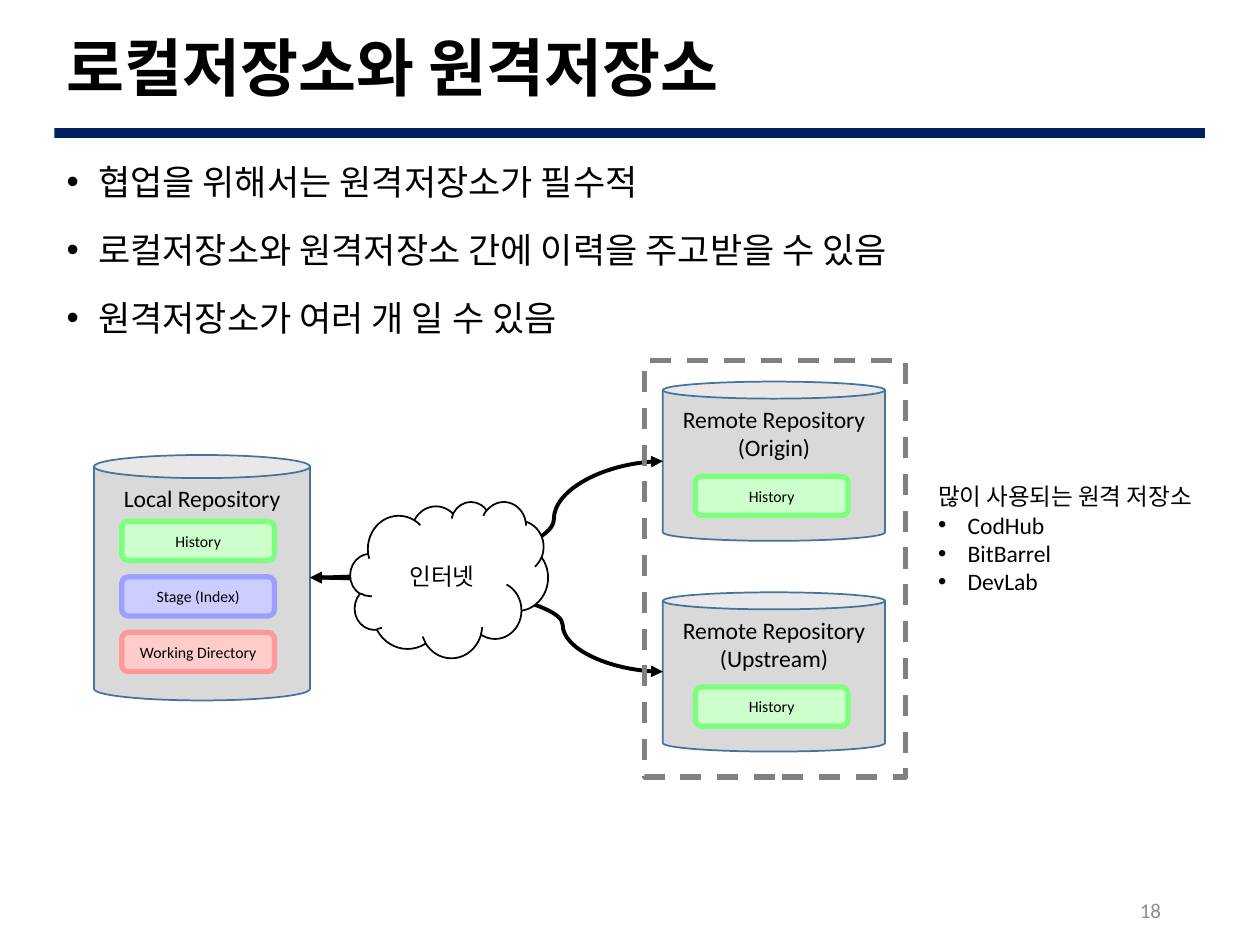
from lxml.etree import SubElement
from pptx import Presentation
from pptx.dml.color import RGBColor
from pptx.enum.dml import MSO_LINE
from pptx.enum.shapes import MSO_CONNECTOR, MSO_SHAPE
from pptx.enum.text import MSO_ANCHOR, MSO_AUTO_SIZE, PP_ALIGN
from pptx.oxml.ns import qn
from pptx.util import Pt

COLORS = {
    "navy": "002060", "black": "000000", "white": "FFFFFF", "number": "8C8C8C",
    "can": "D9D9D9", "can_line": "43739E", "frame": "808080",
    "green": "CCFFCC", "green_line": "7CFF7C",
    "blue": "CCCCFF", "blue_line": "9E9EFF",
    "red": "FFCCCC", "red_line": "FF9999",
}

prs = Presentation()
prs.slide_width, prs.slide_height = Pt(720), Pt(540)
slide = prs.slides.add_slide(prs.slide_layouts[5])
shapes = slide.shapes


def write(shape, lines, size, color="black", anchor=MSO_ANCHOR.MIDDLE, bold=False,
          bullets_from=None, indent=0, **paragraph_format):
    """Fill a shape with paragraphs, bulleted from the given index on."""
    frame = shape.text_frame
    frame.word_wrap = True
    frame.vertical_anchor = anchor
    frame.text = "\n".join(lines)
    for index, paragraph in enumerate(frame.paragraphs):
        for name, value in paragraph_format.items():
            setattr(paragraph, name, value)
        font = paragraph.runs[0].font
        for name, value in {"name": "Calibri", "size": Pt(size), "bold": bold}.items():
            setattr(font, name, value)
        font.color.rgb = RGBColor.from_string(COLORS[color])
        if bullets_from is not None and index >= bullets_from:
            props = paragraph._p.get_or_add_pPr()
            props.set("marL", str(Pt(indent)))
            props.set("indent", str(-Pt(indent)))
            SubElement(props, qn("a:buFont")).set("typeface", "Arial")
            SubElement(props, qn("a:buChar")).set("char", "•")


def draw(kind, box, fill=None, line=None, width=1):
    """Add a preset shape with plain fill and outline."""
    shape = shapes.add_shape(kind, *map(Pt, box))
    shape.shadow.inherit = False
    if fill:
        shape.fill.solid()
        shape.fill.fore_color.rgb = RGBColor.from_string(COLORS[fill])
    else:
        shape.fill.background()
    if line:
        shape.line.color.rgb = RGBColor.from_string(COLORS[line])
        shape.line.width = Pt(width)
    else:
        shape.line.fill.background()
    return shape


# Heading and main points
draw(MSO_SHAPE.RECTANGLE, (31, 73.2, 657.5, 5.6), "navy")
title = shapes.title
title_box = {"left": 31, "top": 13, "width": 657.5, "height": 55.5}
for side, value in title_box.items():
    setattr(title, side, Pt(value))
write(title, ["로컬저장소와 원격저장소"], 36, bold=True,
      alignment=PP_ALIGN.LEFT, line_spacing=0.9)

points = shapes.add_textbox(Pt(31), Pt(83.5), Pt(657.5), Pt(415))
write(points, ["협업을 위해서는 원격저장소가 필수적",
               "로컬저장소와 원격저장소 간에 이력을 주고받을 수 있음",
               "원격저장소가 여러 개 일 수 있음"],
      20, anchor=MSO_ANCHOR.TOP, bullets_from=0, indent=18,
      line_spacing=1.2, space_before=Pt(10))

page_number = shapes.add_textbox(Pt(508.5), Pt(507.5), Pt(162), Pt(25))
write(page_number, ["18"], 12, "number", alignment=PP_ALIGN.RIGHT)

# Repositories: box, caption, first part's corner, parts
repositories = [
    ((53.7, 260, 123.5, 140.3), ["Local Repository"], (69.6, 297.9),
     [("History", "green"), ("Stage (Index)", "blue"), ("Working Directory", "red")]),
    ((378.8, 218.1, 127, 91), ["Remote Repository", "(Origin)"], (397.3, 272.2),
     [("History", "green")]),
    ((378.8, 338.5, 127, 91), ["Remote Repository", "(Upstream)"], (397.3, 392.6),
     [("History", "green")]),
]
PART_STEP = 31.75
for box, caption, (part_left, part_top), parts in repositories:
    repository = draw(MSO_SHAPE.CAN, box, "can", "can_line")
    repository.adjustments[0] = 0.107
    write(repository, caption, 13.5, anchor=MSO_ANCHOR.TOP, alignment=PP_ALIGN.CENTER)
    for row, (label, tint) in enumerate(parts):
        part = draw(MSO_SHAPE.ROUNDED_RECTANGLE,
                    (part_left, part_top + row * PART_STEP, 87.3, 22.4),
                    tint, tint + "_line", 3)
        write(part, [label], 9, alignment=PP_ALIGN.CENTER)

# Links from the local repository to both remotes
for end_y, bend in ((263.6, 69100), (383.9, 71600)):
    link = shapes.add_connector(MSO_CONNECTOR.CURVE, Pt(177.2), Pt(330.1), Pt(378.8), Pt(end_y))
    link.line.color.rgb = RGBColor.from_string(COLORS["black"])
    link.line.width = Pt(2.25)
    outline = link.line._get_or_add_ln()
    for arrow_end in ("a:headEnd", "a:tailEnd"):
        SubElement(outline, qn(arrow_end)).set("type", "triangle")
    props = link._element.spPr
    SubElement(props, qn("a:effectLst"))
    guide = SubElement(props.find(qn("a:prstGeom")).find(qn("a:avLst")), qn("a:gd"))
    guide.set("name", "adj1")
    guide.set("fmla", f"val {bend}")

internet = draw(MSO_SHAPE.CLOUD, (200.2, 286.6, 113, 89.3), "white", "black")
write(internet, ["인터넷"], 13.5, alignment=PP_ALIGN.CENTER)

remote_frame = draw(MSO_SHAPE.RECTANGLE, (368.4, 206.2, 149, 237.8), None, "frame", 3)
remote_frame.line.dash_style = MSO_LINE.DASH

# Hosting services
services = shapes.add_textbox(Pt(529), Pt(272), Pt(173.5), Pt(72.7))
write(services, ["많이 사용되는 원격 저장소", "CodHub", "BitBarrel", "DevLab"],
      13.5, anchor=MSO_ANCHOR.TOP, bullets_from=1, indent=16.9)
services.text_frame.word_wrap = False
services.text_frame.auto_size = MSO_AUTO_SIZE.SHAPE_TO_FIT_TEXT

prs.save("out.pptx")
